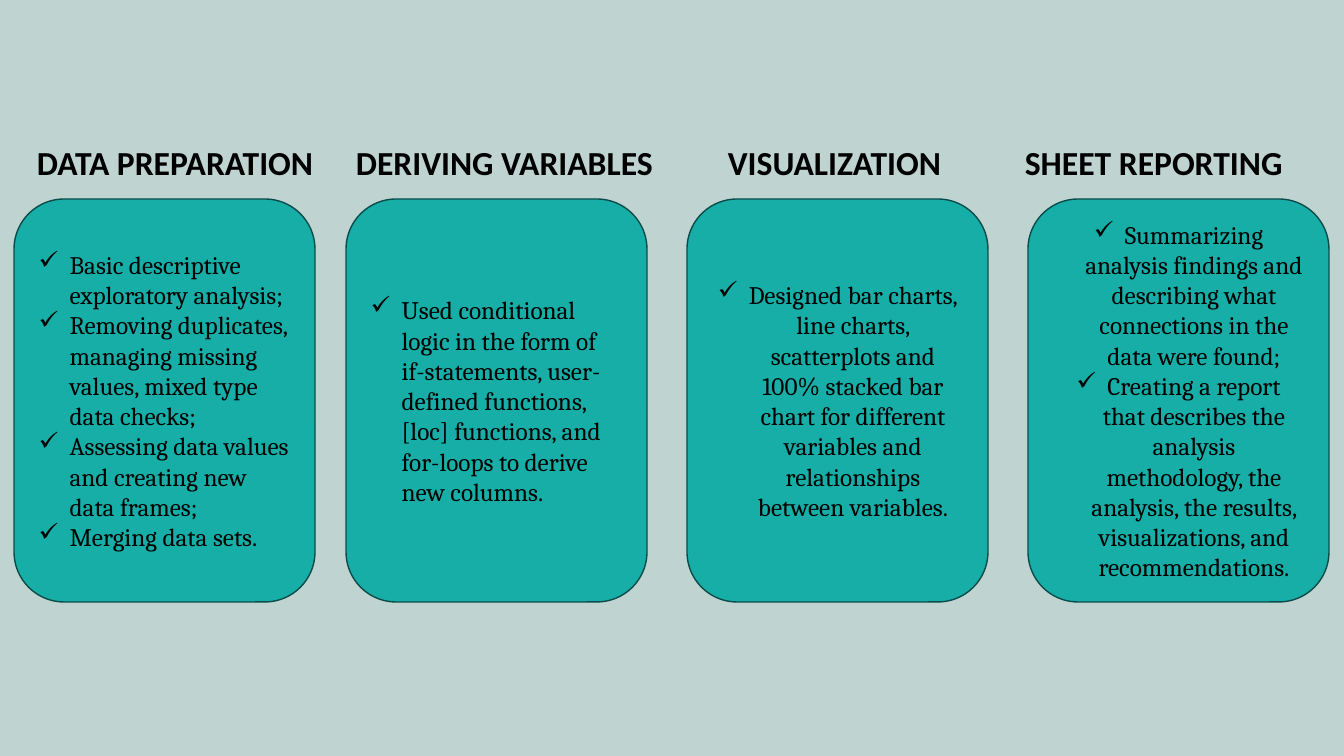
from lxml import etree
from pptx import Presentation
from pptx.dml.color import RGBColor
from pptx.enum.shapes import MSO_SHAPE
from pptx.enum.text import MSO_ANCHOR, PP_ALIGN
from pptx.oxml.ns import qn
from pptx.util import Emu, Pt

ROUNDED = MSO_SHAPE.ROUNDED_RECTANGLE
MIDDLE, TOP = MSO_ANCHOR.MIDDLE, MSO_ANCHOR.TOP
LEFT, CENTER = PP_ALIGN.LEFT, PP_ALIGN.CENTER
BACKGROUND = RGBColor(0xBF, 0xD3, 0xD0)
TEAL = RGBColor(0x16, 0xAE, 0xA7)
DARK_TEAL = RGBColor(0x0A, 0x4C, 0x49)
BLACK = RGBColor(0, 0, 0)

SLIDE_WIDTH, SLIDE_HEIGHT = 1344, 756
CARD_TOP, CARD_WIDTH, CARD_HEIGHT = 199, 301, 403
HEADING_TOP, HEADING_HEIGHT = 137, 50
BULLET_INDENT = 31

# Heading, heading left and width, card left, alignment, bullet points
STAGES = [
    ("DATA PREPARATION", 27, 301, 14, LEFT, [
        "Basic descriptive exploratory analysis;",
        "Removing duplicates, managing missing values, mixed type data checks;",
        "Assessing data values and creating new data frames;",
        "Merging data sets."]),
    ("DERIVING VARIABLES", 346, 329, 346, LEFT, [
        "Used conditional logic in the form of if-statements, user-defined "
        "functions, [loc] functions, and for-loops to derive new columns."]),
    ("VISUALIZATION", 718, 239, 687, CENTER, [
        "Designed bar charts, line charts, scatterplots and 100% stacked bar "
        "chart for different variables and relationships between variables."]),
    ("SHEET REPORTING", 1015, 290, 1028, CENTER, [
        "Summarizing analysis findings and describing what connections in "
        "the data were found;",
        "Creating a report that describes the analysis methodology, the "
        "analysis, the results, visualizations, and recommendations."]),
]


def px(length):
    """Turn pixels into EMU."""
    return Emu(round(length * 12192000 / SLIDE_WIDTH))


def write_text(box, lines, font, size, bold=False, align=LEFT, anchor=TOP,
               bullet=None):
    """Write one paragraph per line into a box, with an optional bullet."""
    frame = box.text_frame
    frame.word_wrap = True
    frame.vertical_anchor = anchor
    for index, line in enumerate(lines):
        para = frame.add_paragraph() if index else frame.paragraphs[0]
        para.alignment = align
        span = para.add_run()
        span.text = line
        span.font.name = font
        span.font.size = Pt(size)
        span.font.bold = bold
        span.font.color.rgb = BLACK
        if bullet:
            properties = para._p.get_or_add_pPr()
            properties.set("marL", str(px(BULLET_INDENT)))
            properties.set("indent", str(-px(BULLET_INDENT)))
            etree.SubElement(properties, qn("a:buChar"), char=bullet)


deck = Presentation()
deck.slide_width, deck.slide_height = px(SLIDE_WIDTH), px(SLIDE_HEIGHT)
page = deck.slides.add_slide(deck.slide_layouts[6])
page.background.fill.solid()
page.background.fill.fore_color.rgb = BACKGROUND

for heading, heading_left, heading_width, card_left, align, points in STAGES:
    card = page.shapes.add_shape(ROUNDED, px(card_left), px(CARD_TOP),
                                 px(CARD_WIDTH), px(CARD_HEIGHT))
    card.shadow.inherit = False
    card.fill.solid()
    card.fill.fore_color.rgb = TEAL
    card.line.color.rgb = DARK_TEAL
    card.line.width = Pt(1)
    write_text(card, points, "Cambria", 18, align=align, anchor=MIDDLE,
               bullet="\u2713")

    title = page.shapes.add_textbox(px(heading_left), px(HEADING_TOP),
                                    px(heading_width), px(HEADING_HEIGHT))
    write_text(title, [heading], "Calibri", 24, bold=True)

deck.save("out.pptx")
